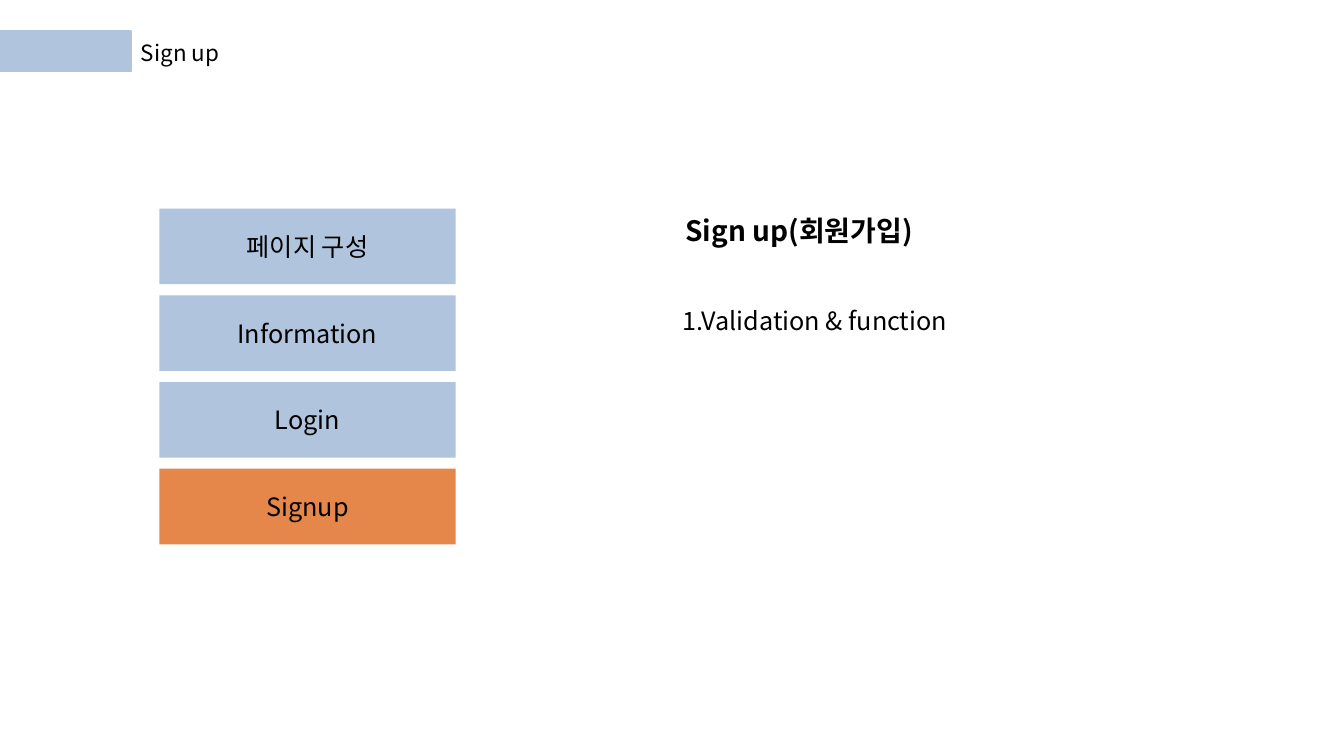
from lxml import etree
from pptx import Presentation
from pptx import util as u
from pptx.dml.color import RGBColor
from pptx.enum import shapes, text
from pptx.oxml import ns

FONT = "Noto Sans CJK KR"
BLUE, ORANGE, BLACK = "B0C4DE", "E5874A", "000000"


def color(code):
    return RGBColor.from_string(code)


class Page:
    """Holds the text style and the current slide."""

    def __init__(self, slide, font, ink):
        self.slide, self.font, self.ink = slide, font, ink

    def letter(self, frame, words, size, bold=False):
        frame.text = words
        frame.word_wrap = True
        for run in frame.paragraphs[0].runs:
            run.font.name = self.font
            run.font.size = u.Pt(size)
            run.font.bold = bold
            run.font.color.rgb = color(self.ink)
            # Korean letters take the East Asian typeface
            east = etree.SubElement(run._r.get_or_add_rPr(), ns.qn("a:ea"))
            east.set("typeface", self.font)

    def block(self, left, top, width, height, fill, words="", edge=None):
        box = self.slide.shapes.add_shape(
            shapes.MSO_SHAPE.RECTANGLE, *map(u.Inches, (left, top, width, height)))
        box.shadow.inherit = False
        box.fill.solid()
        box.fill.fore_color.rgb = color(fill)
        if edge:
            box.line.color.rgb = color(edge)
            box.line.width = u.Pt(1)
        else:
            box.line.fill.background()
        if words:
            self.letter(box.text_frame, words, 18)
            box.text_frame.vertical_anchor = text.MSO_ANCHOR.MIDDLE
            box.text_frame.paragraphs[0].alignment = text.PP_ALIGN.CENTER

    def label(self, left, top, width, height, words, size, bold=False):
        box = self.slide.shapes.add_textbox(
            *map(u.Inches, (left, top, width, height)))
        self.letter(box.text_frame, words, size, bold)
        box.text_frame.auto_size = text.MSO_AUTO_SIZE.SHAPE_TO_FIT_TEXT


def main():
    deck = Presentation()
    deck.slide_width, deck.slide_height = u.Inches(13.33), u.Inches(7.5)
    page = Page(deck.slides.add_slide(deck.slide_layouts[6]), FONT, BLACK)

    # Menu, with the current page in orange
    menu = ["페이지 구성", "Information", "Login", "Signup"]
    for row, name in enumerate(menu):
        fill = ORANGE if name == "Signup" else BLUE
        page.block(1.58, 2.07 + 0.86 * row, 2.94, 0.75, fill, name)

    # Header
    page.block(0, 0.31, 1.3, 0.4, BLUE, edge=BLUE)

    # Description and page title
    page.label(6.7, 2.07, 2.51, 0.44, "Sign up(회원가입)", 20, bold=True)
    page.label(1.3, 0.34, 4.18, 0.37, "Sign up", 16)
    page.label(6.67, 2.98, 5.18, 0.4, "1.Validation & function", 18)

    deck.save("out.pptx")


if __name__ == "__main__":
    main()
